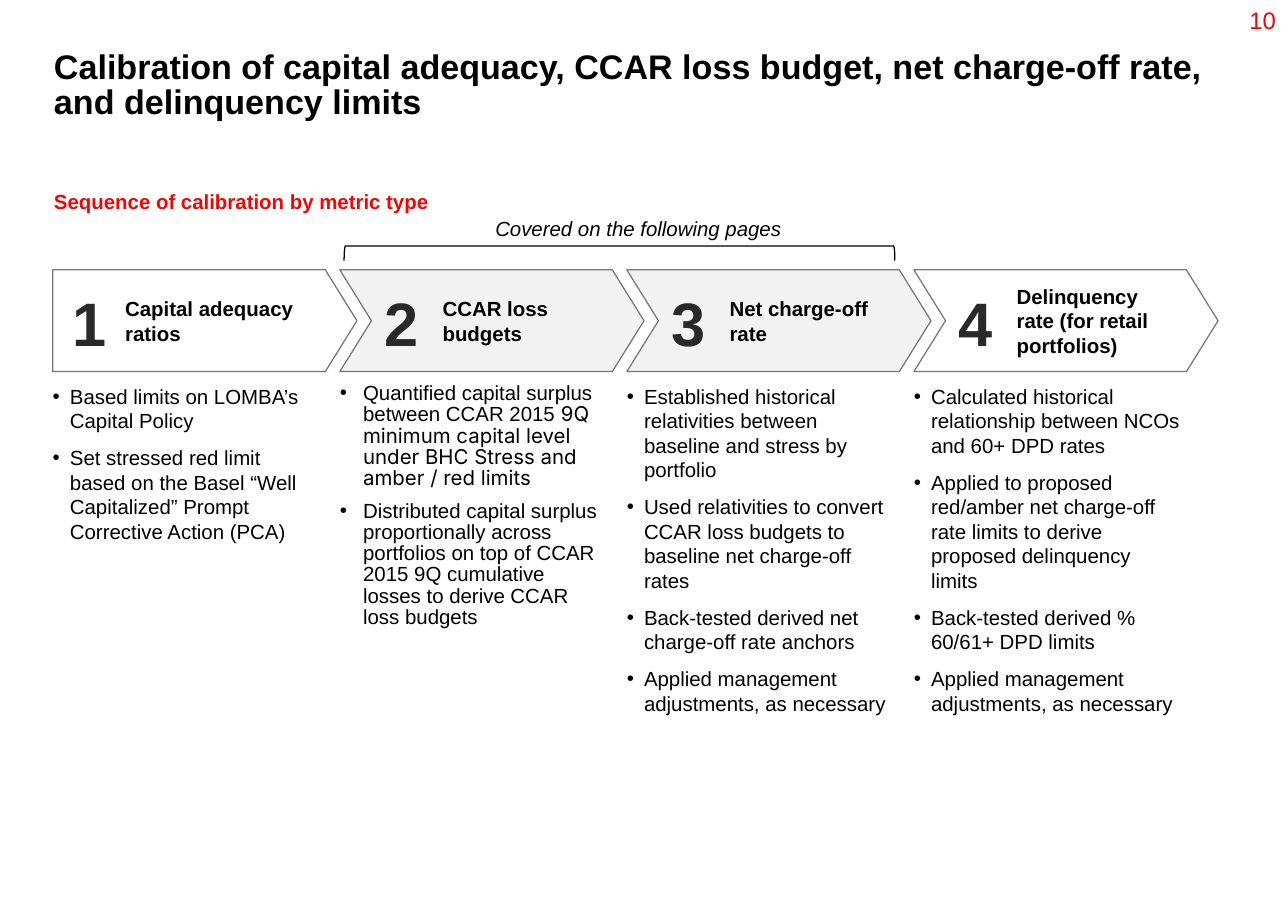
from lxml import etree
from pptx import Presentation
from pptx import util as u
from pptx.dml.color import RGBColor
from pptx.enum import shapes, text
from pptx.oxml.ns import qn

BLACK = RGBColor(0x00, 0x00, 0x00)
RED = RGBColor(0xFF, 0x00, 0x00)
DIGIT = RGBColor(0x29, 0x29, 0x29)
OUTLINE = RGBColor(0x77, 0x77, 0x77)
WHITE = RGBColor(0xFF, 0xFF, 0xFF)
GREY = RGBColor(0xF2, 0xF2, 0xF2)
ALIGN = text.PP_ALIGN
TOP, MIDDLE = text.MSO_ANCHOR.TOP, text.MSO_ANCHOR.MIDDLE
SHAPE = shapes.MSO_SHAPE

LEFT, STEP = 0.43, 2.34
STAGE_TOP, STAGE_WIDTH, STAGE_HEIGHT = 2.2, 2.48, 0.83
LIST_TOP, LIST_WIDTH = 3.13, 2.19
NO_INSET = (0, 0, 0, 0)
TEXT_INSET = (0.1, 0.05, 0.1, 0.05)

STAGES = [
    dict(label="Capital adequacy ratios", outline=SHAPE.PENTAGON, fill=WHITE,
         inset=0.4, margin=0.19, digit_width=0.54, list_height=1.33,
         list_format=dict(margin=0.14), points=[
             "Based limits on LOMBA’s Capital Policy",
             "Set stressed red limit based on the Basel “Well Capitalized” "
             "Prompt Corrective Action (PCA)"]),
    dict(label="CCAR loss budgets", fill=GREY, list_height=2.03,
         list_format=dict(margin=0.19, spacing=0.86), points=[
             [("Quantified capital surplus between CCAR 2015 ", "Arial"),
              ("9Q minimum capital level under BHC Stress and amber / red limits",
               "Inter")],
             "Distributed capital surplus proportionally across portfolios on top "
             "of CCAR 2015 9Q cumulative losses to derive CCAR loss budgets"]),
    dict(label="Net charge-off rate", fill=GREY, list_height=3.43,
         list_format=dict(margin=0.14), points=[
             "Established historical relativities between baseline and stress "
             "by portfolio",
             "Used relativities to convert CCAR loss budgets to baseline net "
             "charge-off rates",
             "Back-tested derived net charge-off rate anchors",
             "Applied management adjustments, as necessary"]),
    dict(label="Delinquency rate (for retail portfolios)", fill=WHITE,
         list_height=3.11, list_format=dict(margin=0.14), points=[
             "Calculated historical relationship between NCOs and 60+ DPD rates",
             "Applied to proposed red/amber net charge-off rate limits to derive "
             "proposed delinquency limits",
             "Back-tested derived % 60/61+ DPD limits",
             "Applied management adjustments, as necessary"]),
]


def write(holder, paragraphs, size=12, color=BLACK, bold=False, italic=False,
          align=ALIGN.LEFT, anchor=TOP, inset=NO_INSET, wrap=True,
          margin=0, spacing=1.0, bullet=False):
    """Fill a shape with paragraphs, each a string or a list of (text, font)."""
    frame = holder.text_frame
    frame.auto_size = text.MSO_AUTO_SIZE.NONE
    frame.word_wrap = wrap
    frame.vertical_anchor = anchor
    (frame.margin_left, frame.margin_top,
     frame.margin_right, frame.margin_bottom) = map(u.Inches, inset)
    for index, content in enumerate(paragraphs):
        paragraph = frame.add_paragraph() if index else frame.paragraphs[0]
        paragraph.alignment = align
        paragraph.line_spacing = spacing
        paragraph.space_before = u.Pt(7.2 if bullet else 0)
        properties = paragraph._p.get_or_add_pPr()
        properties.set("marL", str(u.Inches(margin)))
        properties.set("indent", str(u.Inches(-margin if bullet else 0)))
        if bullet:
            etree.SubElement(properties, qn("a:buFont")).set("typeface", "Arial")
            etree.SubElement(properties, qn("a:buChar")).set("char", "•")
        else:
            etree.SubElement(properties, qn("a:buNone"))
        runs = [(content, "Arial")] if isinstance(content, str) else content
        for words, typeface in runs:
            run = paragraph.add_run()
            run.text = words
            font = run.font
            font.name, font.size = typeface, u.Pt(size)
            font.bold, font.italic = bold, italic
            font.color.rgb = color


class SlideBuilder:
    """Holds the current slide and the line style, and adds its elements."""

    line_width = u.Pt(0.75)

    def __init__(self, slide):
        """Start on a slide that has a title and list placeholders."""
        self.slide = slide
        self.bodies = [p for p in slide.placeholders
                       if p.placeholder_format.idx in (1, 2, 3, 4)]

    def place(self, holder, box, paragraphs, **style):
        """Move a placeholder to its box and write in it."""
        holder.left, holder.top, holder.width, holder.height = map(u.Inches, box)
        write(holder, paragraphs, **style)

    def title(self, box, words, **style):
        """Write the slide title."""
        self.place(self.slide.shapes.title, box, [words], **style)

    def bullets(self, box, points, **style):
        """Write a bulleted list in the next free body placeholder."""
        self.place(self.bodies.pop(0), box, points, bullet=True, **style)

    def label(self, box, words, **style):
        """Add a text box."""
        write(self.slide.shapes.add_textbox(*map(u.Inches, box)), [words], **style)

    def outline(self, kind, box, line, adjustment=None, fill=None):
        """Add a preset shape with a thin line."""
        shape = self.slide.shapes.add_shape(kind, *map(u.Inches, box))
        shape.shadow.inherit = False
        if adjustment is not None:
            shape.adjustments[0] = adjustment
        if fill is None:
            shape.fill.background()
        else:
            shape.fill.solid()
            shape.fill.fore_color.rgb = fill
        shape.line.color.rgb = line
        shape.line.width = self.line_width
        return shape

    def stage(self, number, label, fill, list_height, list_format, points,
              outline=SHAPE.CHEVRON, inset=0.2, margin=0.38, digit_width=0.74):
        """Add one step of the sequence: arrow, number and list."""
        left = LEFT + (number - 1) * STEP
        arrow = self.outline(outline, (left, STAGE_TOP, STAGE_WIDTH, STAGE_HEIGHT),
                             OUTLINE, 0.311, fill)
        write(arrow, [label], bold=True, anchor=MIDDLE, margin=margin,
              inset=(inset, 0.05, 0.05, 0.05))
        self.label((left, STAGE_TOP + 0.01, digit_width, STAGE_HEIGHT), str(number),
                   size=36, color=DIGIT, bold=True, align=ALIGN.RIGHT,
                   anchor=MIDDLE, inset=TEXT_INSET, wrap=False)
        self.bullets((left, LIST_TOP, LIST_WIDTH, list_height), points, **list_format)


def main():
    """Build and save the calibration slide."""
    deck = Presentation()
    deck.slide_width, deck.slide_height = u.Inches(10.5), u.Inches(7.5)
    comparison_layout = deck.slide_layouts[4]
    builder = SlideBuilder(deck.slides.add_slide(comparison_layout))

    builder.title((0.44, 0.42, 9.62, 0.8),
                  "Calibration of capital adequacy, CCAR loss budget, net charge-off "
                  "rate, and delinquency limits", size=20, bold=True, spacing=0.86)
    builder.label((0.44, 1.54, 4.31, 0.37), "Sequence of calibration by metric type",
                  color=RED, bold=True)
    for number, stage in enumerate(STAGES, 1):
        builder.stage(number, **stage)

    bracket = builder.outline(SHAPE.RIGHT_BRACKET, (4.99, -0.18, 0.12, 4.49), BLACK)
    bracket.rotation = 270
    builder.label((3.93, 1.74, 2.55, 0.27), "Covered on the following pages",
                  italic=True, align=ALIGN.CENTER, spacing=0.86,
                  inset=TEXT_INSET, wrap=False)
    builder.label((10.06, 0, 0.44, 0.42), "10", size=14, color=RED,
                  align=ALIGN.RIGHT, inset=TEXT_INSET, wrap=False)
    deck.save("out.pptx")


main()
